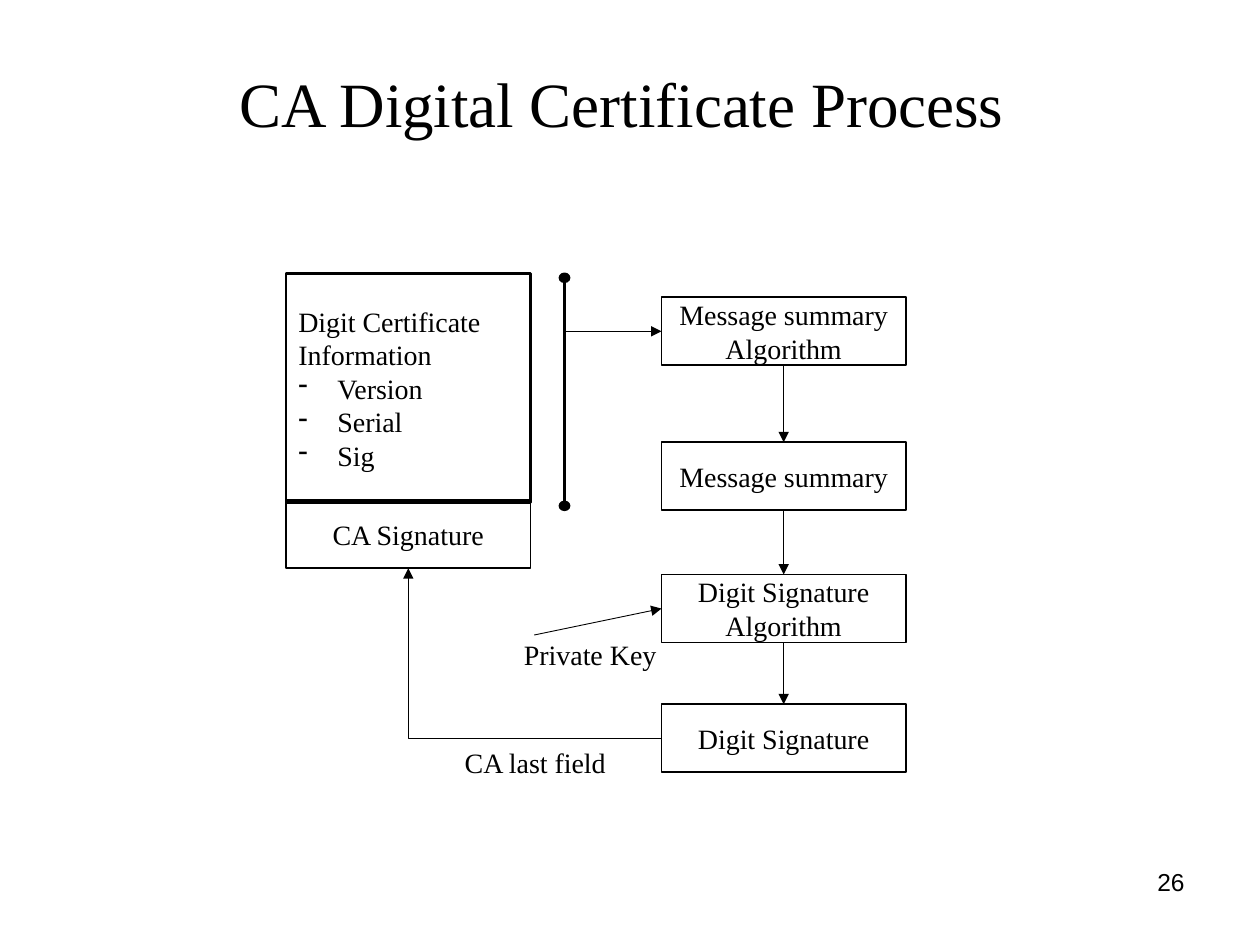
from dataclasses import dataclass
from itertools import pairwise
from typing import Optional

from lxml.etree import SubElement
from pptx import Presentation
from pptx.dml.color import RGBColor
from pptx.enum.shapes import MSO_CONNECTOR, MSO_SHAPE
from pptx.enum.text import MSO_ANCHOR, PP_ALIGN
from pptx.oxml.ns import qn
from pptx.util import Inches, Pt

COLORS = {"ink": "000000"}
SERIF = "Times New Roman"
COLUMN = Inches(0.1)
ROW = Inches(0.1)
BOX_WIDTH, BOX_HEIGHT = 19.4, 5.4
CERTIFICATE_LEFT, FLOW_LEFT = 22.7, 52.5
BRACKET_COLUMN, BRACKET_TOP, BRACKET_BOTTOM = 44.8, 21.7, 40.5
DOT_WIDTH, DOT_HEIGHT = 0.8, 0.7
BULLET_INDENT = Inches(0.31)
TOP, LEFT, BOTTOM = 0, 1, 2


@dataclass(frozen=True)
class Line:
    text: str
    bullet: Optional[str] = None


@dataclass(frozen=True)
class Box:
    lines: tuple[Line, ...]
    left: float
    top: float
    height: float = BOX_HEIGHT
    weight: float = 1
    align: PP_ALIGN = PP_ALIGN.CENTER


@dataclass(frozen=True)
class Label:
    text: str
    left: float
    top: float
    width: float
    height: float
    size: float = 16
    font: str = SERIF
    align: PP_ALIGN = PP_ALIGN.LEFT
    anchor: MSO_ANCHOR = MSO_ANCHOR.TOP
    wrap: bool = False


CERTIFICATE = Box(
    (
        Line("Digit Certificate Information"),
        Line("Version", "-"),
        Line("Serial", "-"),
        Line("Sig", "-"),
    ),
    CERTIFICATE_LEFT, 21.7, 18.2, 1.5, PP_ALIGN.LEFT,
)
SIGNATURE = Box((Line("CA Signature"),), CERTIFICATE_LEFT, 39.7)
FLOW = (
    Box((Line("Message summary Algorithm"),), FLOW_LEFT, 23.6),
    Box((Line("Message summary"),), FLOW_LEFT, 35.1),
    Box((Line("Digit Signature Algorithm"),), FLOW_LEFT, 45.6),
    Box((Line("Digit Signature"),), FLOW_LEFT, 55.9),
)
LABELS = (
    Label("CA Digital Certificate Process ", 5, 3, 90, 10.3, 36,
          align=PP_ALIGN.CENTER, anchor=MSO_ANCHOR.MIDDLE, wrap=True),
    Label("Private Key", 40.6, 50.1, 13, 3.8),
    Label("CA last field", 35.9, 58.7, 13.7, 3.8),
    Label("26", 71.7, 68.3, 23.3, 5.2, 14, "Arial", PP_ALIGN.RIGHT, wrap=True),
)


def across(columns: float) -> int:
    return round(columns * COLUMN)


def down(rows: float) -> int:
    return round(rows * ROW)


def ink() -> RGBColor:
    return RGBColor.from_string(COLORS["ink"])


def write(paragraph, text: str, size: float, font: str, align: PP_ALIGN) -> None:
    paragraph.alignment = align
    run = paragraph.add_run()
    run.text = text
    run.font.size = Pt(size)
    run.font.name = font
    run.font.color.rgb = ink()


def add_bullet(paragraph, character: str) -> None:
    properties = paragraph._p.get_or_add_pPr()
    properties.set("marL", str(BULLET_INDENT))
    properties.set("indent", str(-BULLET_INDENT))
    SubElement(properties, qn("a:buChar"), char=character)


def draw_box(slide, box: Box):
    shape = slide.shapes.add_shape(
        MSO_SHAPE.RECTANGLE, across(box.left), down(box.top), across(BOX_WIDTH), down(box.height)
    )
    shape.shadow.inherit = False
    shape.fill.background()
    shape.line.color.rgb = ink()
    shape.line.width = Pt(box.weight)
    frame = shape.text_frame
    frame.word_wrap = True
    frame.vertical_anchor = MSO_ANCHOR.MIDDLE
    for index, line in enumerate(box.lines):
        paragraph = frame.add_paragraph() if index else frame.paragraphs[0]
        if line.bullet:
            add_bullet(paragraph, line.bullet)
        write(paragraph, line.text, 16, SERIF, box.align)
    return shape


def draw_label(slide, label: Label) -> None:
    shape = slide.shapes.add_textbox(
        across(label.left), down(label.top), across(label.width), down(label.height)
    )
    frame = shape.text_frame
    frame.word_wrap = label.wrap
    frame.vertical_anchor = label.anchor
    write(frame.paragraphs[0], label.text, label.size, label.font, label.align)


def draw_dot(slide, top: float) -> None:
    dot = slide.shapes.add_shape(
        MSO_SHAPE.OVAL, across(BRACKET_COLUMN - DOT_WIDTH / 2), down(top),
        across(DOT_WIDTH), down(DOT_HEIGHT),
    )
    dot.shadow.inherit = False
    dot.fill.solid()
    dot.fill.fore_color.rgb = ink()
    dot.line.color.rgb = ink()
    dot.line.width = Pt(1)


def draw_connector(slide, start: tuple[float, float], end: tuple[float, float],
                   weight: float = 0.5, kind=MSO_CONNECTOR.STRAIGHT,
                   arrow: Optional[str] = "tailEnd"):
    connector = slide.shapes.add_connector(
        kind, across(start[0]), down(start[1]), across(end[0]), down(end[1])
    )
    connector.line.color.rgb = ink()
    connector.line.width = Pt(weight)
    if arrow:
        SubElement(connector.line._get_or_add_ln(), qn(f"a:{arrow}"), type="triangle")
    SubElement(connector._element.spPr, qn("a:effectLst"))
    return connector


def draw_return_path(slide) -> None:
    corner = (CERTIFICATE_LEFT + BOX_WIDTH / 2, SIGNATURE.top + BOX_HEIGHT)
    origin = (FLOW_LEFT, FLOW[-1].top + BOX_HEIGHT / 2)
    connector = draw_connector(slide, corner, origin, kind=MSO_CONNECTOR.ELBOW)
    properties = connector._element.spPr
    properties.find(qn("a:prstGeom")).set("prst", "bentConnector2")
    properties.find(qn("a:xfrm")).set("rot", str(180 * 60000))


def main() -> None:
    presentation = Presentation()
    presentation.slide_width = across(100)
    presentation.slide_height = down(75)
    slide = presentation.slides.add_slide(presentation.slide_layouts[6])

    draw_box(slide, CERTIFICATE)
    draw_box(slide, SIGNATURE)
    steps = [draw_box(slide, box) for box in FLOW]
    middle = FLOW_LEFT + BOX_WIDTH / 2
    for (upper, lower), (source, target) in zip(pairwise(FLOW), pairwise(steps)):
        arrow = draw_connector(slide, (middle, upper.top + BOX_HEIGHT), (middle, lower.top))
        arrow.begin_connect(source, BOTTOM)
        arrow.end_connect(target, TOP)

    draw_connector(slide, (BRACKET_COLUMN, BRACKET_TOP), (BRACKET_COLUMN, BRACKET_BOTTOM),
                   1.5, arrow=None)
    for top in (BRACKET_TOP, BRACKET_BOTTOM - DOT_HEIGHT):
        draw_dot(slide, top)
    for step, start in ((0, (BRACKET_COLUMN, 26.3)), (2, (42.4, 50.4))):
        target = (FLOW_LEFT, FLOW[step].top + BOX_HEIGHT / 2)
        draw_connector(slide, start, target).end_connect(steps[step], LEFT)
    draw_return_path(slide)

    for label in LABELS:
        draw_label(slide, label)
    presentation.save("out.pptx")


if __name__ == "__main__":
    main()
